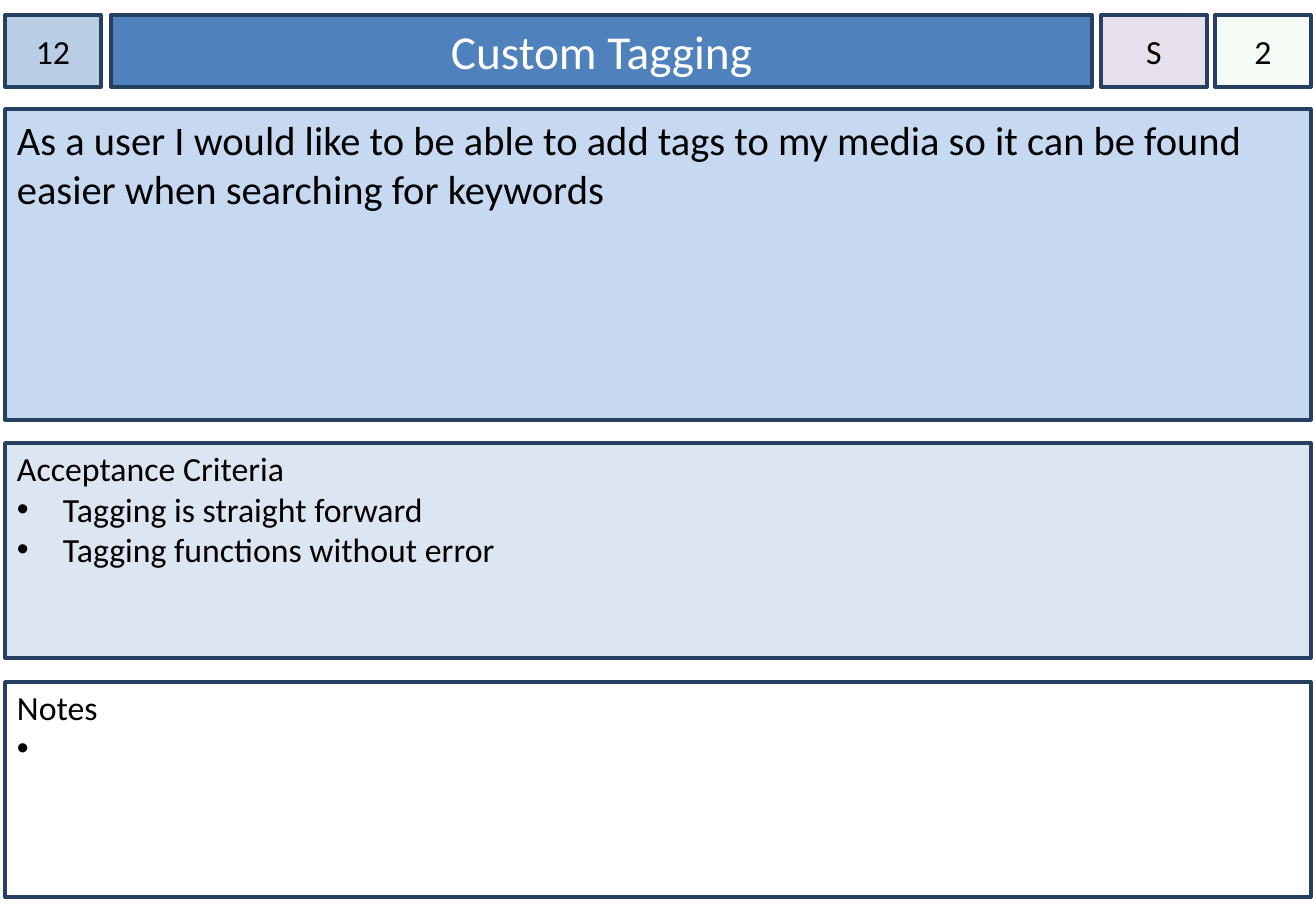
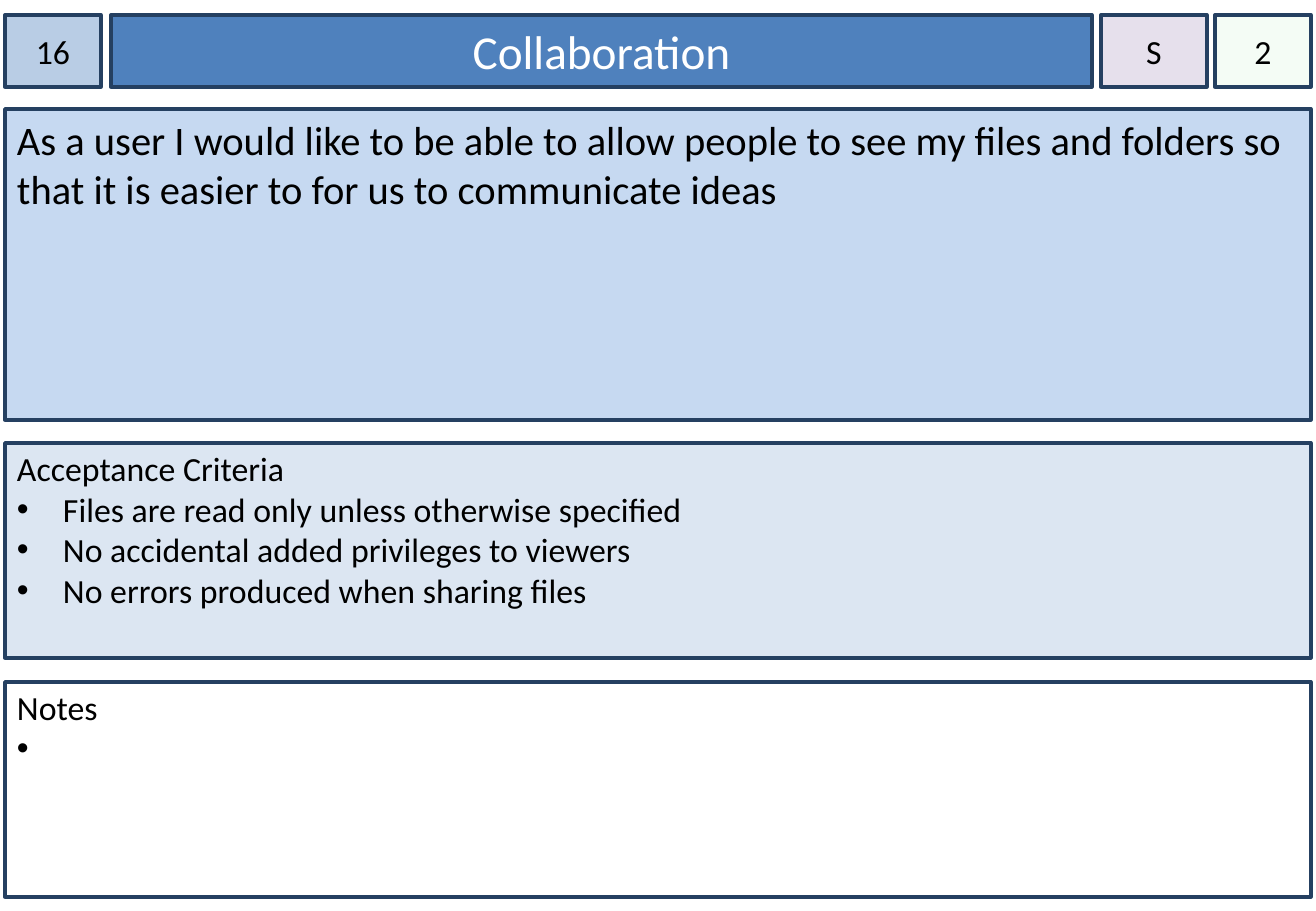
import dataclasses

import lxml.etree
import pptx
import pptx.dml.color
import pptx.enum.shapes
import pptx.enum.text
import pptx.oxml.ns
import pptx.util

ANCHOR = pptx.enum.text.MSO_ANCHOR
ALIGN = pptx.enum.text.PP_ALIGN
qn = pptx.oxml.ns.qn


def px(n: int) -> int:
    return round(n * 914400 / 121.5)


@dataclasses.dataclass(frozen=True)
class Theme:
    font: str = "Calibri"
    title_size: int = 28
    story_size: int = 24
    text_size: int = 20
    border: str = "254061"
    border_width: int = 2
    text: str = "000000"
    title_text: str = "FFFFFF"
    title: str = "4F81BD"
    number: str = "B9CDE5"
    priority: str = "E6E0EC"
    points: str = "CCF0CD"
    points_opacity: int = 20
    story: str = "C6D9F1"
    criteria: str = "DCE6F2"
    notes: str = "FFFFFF"


@dataclasses.dataclass(frozen=True)
class Box:
    left: int
    top: int
    width: int
    height: int
    fill: str
    size: int
    color: str
    insets: tuple[int, int, int, int] = (12, 6, 12, 6)
    centered: bool = False
    wrap: bool = True
    opacity: int = 100


@dataclasses.dataclass(frozen=True)
class Line:
    text: str
    indent: int = 0


@dataclasses.dataclass(frozen=True)
class Story:
    number: str
    title: str
    text: tuple[str, ...]
    criteria: tuple[str, ...]
    priority: str = "S"
    points: str = "2"


THEME = Theme()


def header_box(left: int, width: int, fill: str, wrap: bool = True, opacity: int = 100) -> Box:
    return Box(left, 15, width, 72, fill, THEME.text_size, THEME.text,
               (0, 6, 0, 6), True, wrap, opacity)


def panel(top: int, height: int, fill: str, size: int, inset_top: int) -> Box:
    return Box(5, top, 1306, height, fill, size, THEME.text, (12, inset_top, 12, 6))


NUMBER = header_box(5, 96, THEME.number)
TITLE = Box(111, 15, 981, 72, THEME.title, THEME.title_size, THEME.title_text, centered=True)
PRIORITY = header_box(1101, 106, THEME.priority, wrap=False)
POINTS = header_box(1215, 96, THEME.points, opacity=THEME.points_opacity)
STORY = panel(109, 311, THEME.story, THEME.story_size, 6)
CRITERIA = panel(443, 215, THEME.criteria, THEME.text_size, 5)
NOTES = panel(682, 215, THEME.notes, THEME.text_size, 5)

STORIES = [
    Story("12", "Custom Tagging",
          ("As a user I would like to be able to add tags to my media so it can be found",
           "easier when searching for keywords"),
          ("Tagging is straight forward", "Tagging functions without error")),
    Story("16", "Collaboration",
          ("As a user I would like to be able to allow people to see my files and folders "
           "so that it is easier to for us to communicate ideas",),
          ("Files are read only unless otherwise specified",
           "No accidental added privileges to viewers",
           "No errors produced when sharing files")),
]


def rgb(value: str) -> pptx.dml.color.RGBColor:
    return pptx.dml.color.RGBColor.from_string(value)


def style_box(sp, box: Box) -> None:
    sp.left, sp.top, sp.width, sp.height = map(px, (box.left, box.top, box.width, box.height))
    sp.shadow.inherit = False
    sp.fill.solid()
    sp.fill.fore_color.rgb = rgb(box.fill)
    if box.opacity < 100:
        color = sp.element.spPr.find(qn("a:solidFill"))[0]
        lxml.etree.SubElement(color, qn("a:alpha"), val=str(box.opacity * 1000))
    sp.line.color.rgb = rgb(THEME.border)
    sp.line.width = pptx.util.Pt(THEME.border_width)


def add_bullet(p, indent: int) -> None:
    p_pr = p._p.get_or_add_pPr()
    p_pr.set("marL", str(px(indent)))
    p_pr.set("indent", str(-px(indent)))
    lxml.etree.SubElement(p_pr, qn("a:buFont"), typeface="Arial")
    lxml.etree.SubElement(p_pr, qn("a:buChar"), char="•")


def write(sp, box: Box, lines: list[Line]) -> None:
    tf = sp.text_frame
    tf.auto_size = pptx.enum.text.MSO_AUTO_SIZE.NONE
    tf.word_wrap = box.wrap
    tf.vertical_anchor = ANCHOR.MIDDLE if box.centered else ANCHOR.TOP
    tf.margin_left, tf.margin_top, tf.margin_right, tf.margin_bottom = map(px, box.insets)
    for i, line in enumerate(lines):
        p = tf.add_paragraph() if i else tf.paragraphs[0]
        p.alignment = ALIGN.CENTER if box.centered else ALIGN.LEFT
        if line.indent:
            add_bullet(p, line.indent)
        r = p.add_run()
        r.text = line.text
        r.font.name = THEME.font
        r.font.size = pptx.util.Pt(box.size)
        r.font.color.rgb = rgb(box.color)


def add_box(s, box: Box, lines: list[Line]) -> None:
    sp = s.shapes.add_shape(pptx.enum.shapes.MSO_SHAPE.RECTANGLE, 0, 0, 0, 0)
    style_box(sp, box)
    write(sp, box, lines)


def add_story(prs, story: Story) -> None:
    s = prs.slides.add_slide(prs.slide_layouts.get_by_name("Title Only"))
    style_box(s.shapes.title, TITLE)
    write(s.shapes.title, TITLE, [Line(story.title)])
    add_box(s, NUMBER, [Line(story.number)])
    add_box(s, STORY, [Line(text) for text in story.text])
    add_box(s, CRITERIA,
            [Line("Acceptance Criteria"), *(Line(text, 46) for text in story.criteria)])
    add_box(s, POINTS, [Line(story.points)])
    add_box(s, PRIORITY, [Line(story.priority)])
    add_box(s, NOTES, [Line("Notes"), Line(" ", 24)])


def main() -> None:
    prs = pptx.Presentation()
    prs.slide_width, prs.slide_height = px(1316), px(911)
    for story in STORIES:
        add_story(prs, story)
    prs.save("out.pptx")


main()
